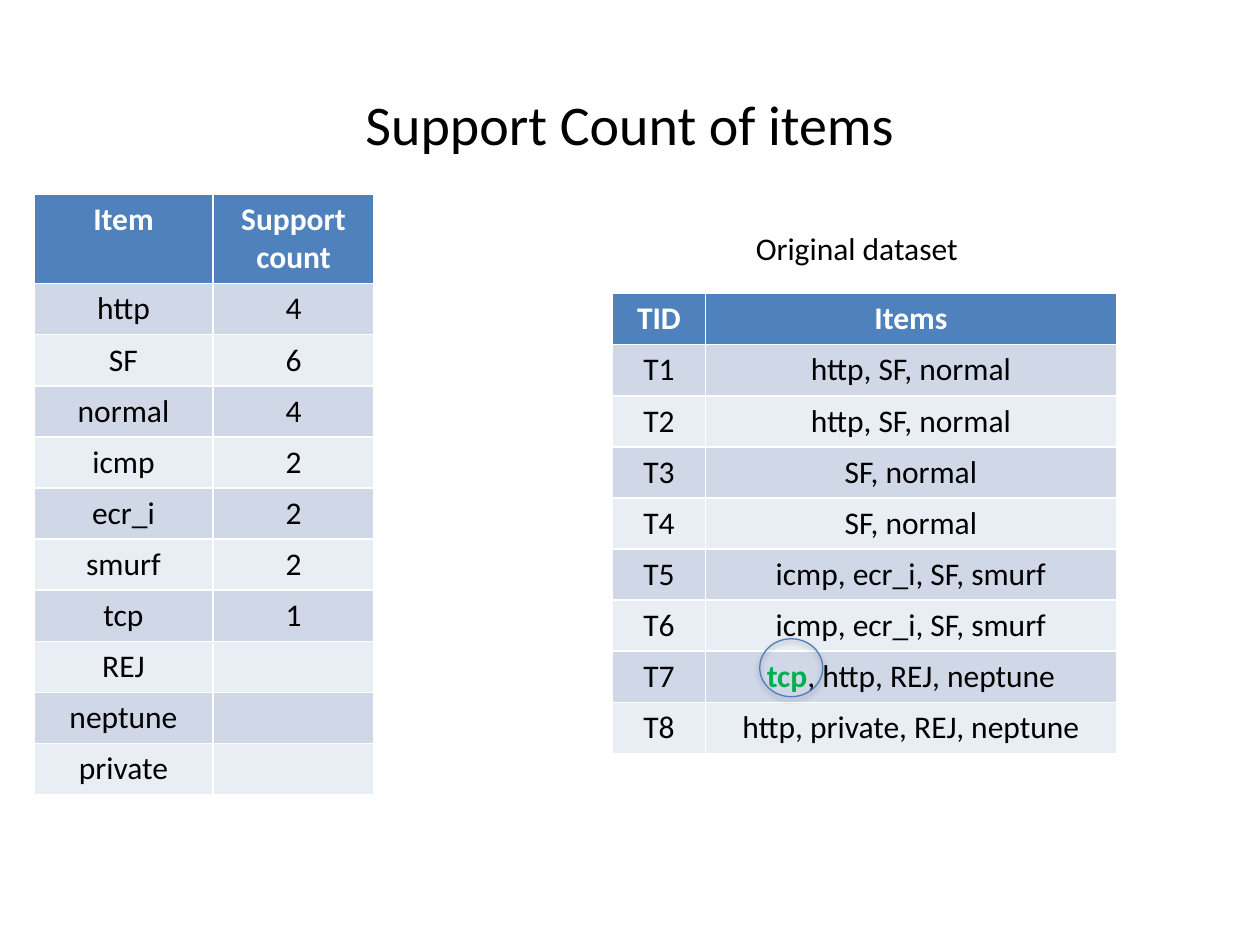
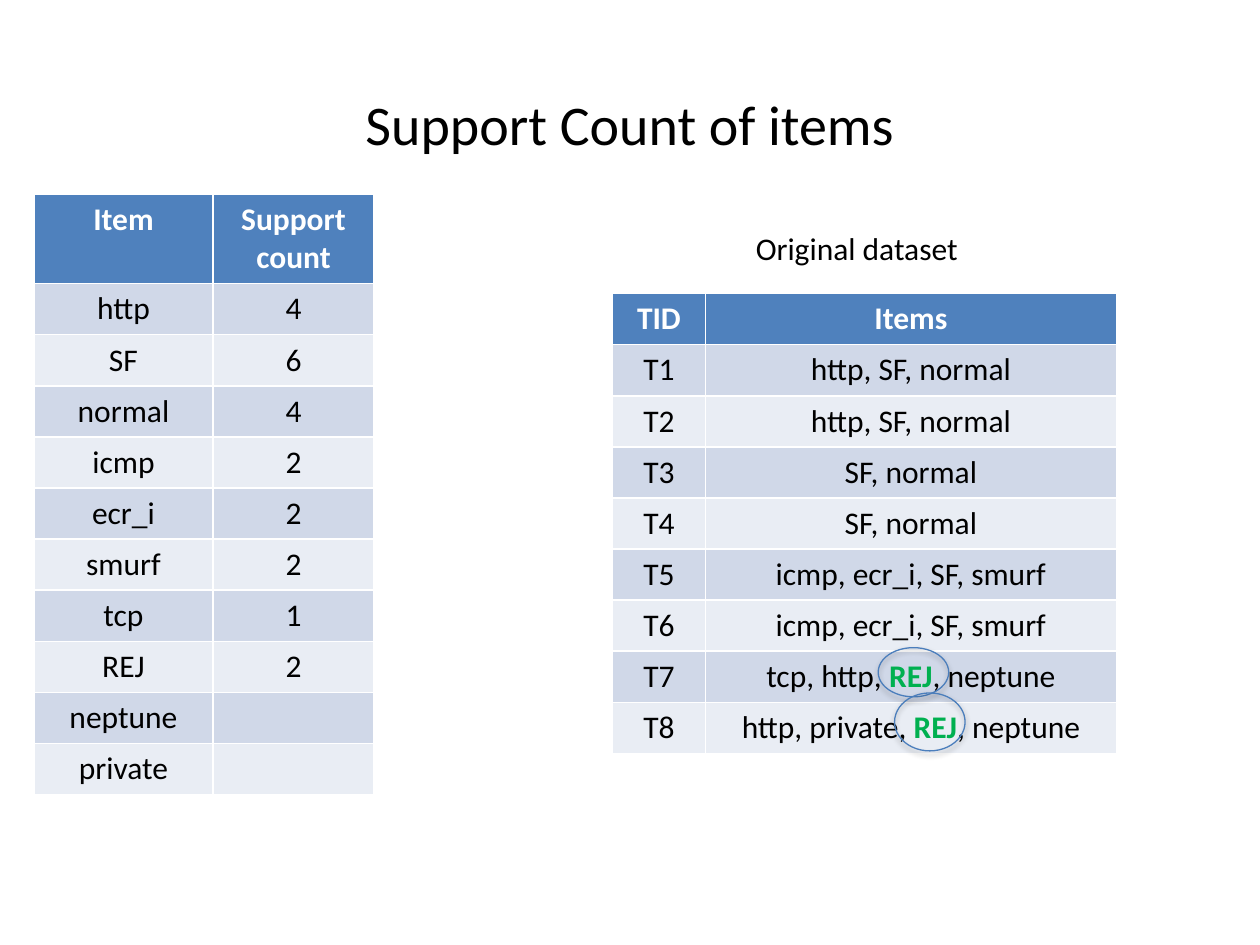
from pptx import Presentation, util as u
from pptx.dml.color import RGBColor
from pptx.enum import shapes, text

BLACK, WHITE, GREEN, OUTLINE = "000000", "FFFFFF", "00B050", "4B7EBC"
HEADER, BANDS = "4F81BD", ("E9EDF4", "D0D8E8")
BODY = {"name": "Calibri", "size": u.Pt(18), "bold": False}
STRONG = {**BODY, "bold": True}
TITLE = {**BODY, "size": u.Pt(32)}
ROW_HEIGHT = 0.4

ITEMS = ["http", "SF", "normal", "icmp", "ecr_i", "smurf", "tcp", "REJ", "neptune", "private"]
COUNTS = ["4", "6", "4", "2", "2", "2", "1", "2"]
TRANSACTIONS = [
    "http, SF, normal",
    "http, SF, normal",
    "SF, normal",
    "SF, normal",
    "icmp, ecr_i, SF, smurf",
    "icmp, ecr_i, SF, smurf",
    "tcp, http, REJ, neptune",
    "http, private, REJ, neptune",
]
STEPS = [
    ("tcp", [(6.03, 5.07, 0.5, 0.46)]),
    ("REJ", [(6.97, 5.14, 0.56, 0.39), (7.1, 5.5, 0.56, 0.46)]),
]


def rgb(color):
    return RGBColor.from_string(color)


def add_run(paragraph, words, formats, color):
    run = paragraph.add_run()
    run.text = words
    for attribute, value in formats.items():
        setattr(run.font, attribute, value)
    run.font.color.rgb = rgb(color)


deck = Presentation()
deck.slide_width, deck.slide_height = u.Inches(10), u.Inches(7.5)

for counted_item, circles in STEPS:
    slide = deck.slides.add_slide(deck.slide_layouts[5])

    heading = slide.shapes.title
    place = {"left": 0, "top": 0.66, "width": 10, "height": 0.64}
    for side, inches in place.items():
        setattr(heading, side, u.Inches(inches))
    heading.text_frame.vertical_anchor = text.MSO_ANCHOR.MIDDLE
    heading_line = heading.text_frame.paragraphs[0]
    heading_line.alignment = text.PP_ALIGN.CENTER
    add_run(heading_line, "Support Count of items", TITLE, BLACK)

    known = COUNTS[:ITEMS.index(counted_item) + 1]
    counts = known + [""] * (len(ITEMS) - len(known))
    support_rows = [("Item", "Support count"), *zip(ITEMS, counts)]
    dataset_rows = [("TID", "Items")]
    dataset_rows += [(f"T{number}", items) for number, items in enumerate(TRANSACTIONS, 1)]

    for rows, place, widths, header_height, marked in [
        (support_rows, (0.27, 1.54, 2.7, 4.76), (1.42, 1.28), 0.7, None),
        (dataset_rows, (4.86, 2.33, 4, 3.6), (0.74, 3.26), ROW_HEIGHT, counted_item),
    ]:
        frame = slide.shapes.add_table(len(rows), 2, *map(u.Inches, place))
        grid = frame.table
        for column, width in zip(grid.columns, widths):
            column.width = u.Inches(width)
        for r, values in enumerate(rows):
            grid.rows[r].height = u.Inches(ROW_HEIGHT if r else header_height)
            for c, value in enumerate(values):
                cell = grid.cell(r, c)
                cell.fill.solid()
                cell.fill.fore_color.rgb = rgb(BANDS[r % 2] if r else HEADER)
                line = cell.text_frame.paragraphs[0]
                line.alignment = text.PP_ALIGN.CENTER
                pieces = value.partition(marked) if marked else (value,)
                for piece in filter(None, pieces):
                    if r == 0:
                        add_run(line, piece, STRONG, WHITE)
                    elif piece == marked:
                        add_run(line, piece, STRONG, GREEN)
                    else:
                        add_run(line, piece, BODY, BLACK)
        frame.height = u.Inches(place[3])

    caption = slide.shapes.add_textbox(*map(u.Inches, (5.9, 1.77, 2.7, 0.4))).text_frame
    caption.word_wrap = True
    caption.auto_size = text.MSO_AUTO_SIZE.SHAPE_TO_FIT_TEXT
    add_run(caption.paragraphs[0], "Original dataset", BODY, BLACK)

    for circle_place in circles:
        circle = slide.shapes.add_shape(shapes.MSO_SHAPE.OVAL, *map(u.Inches, circle_place))
        circle.fill.background()
        circle.line.color.rgb = rgb(OUTLINE)
        circle.line.width = u.Pt(0.75)

deck.save("out.pptx")
